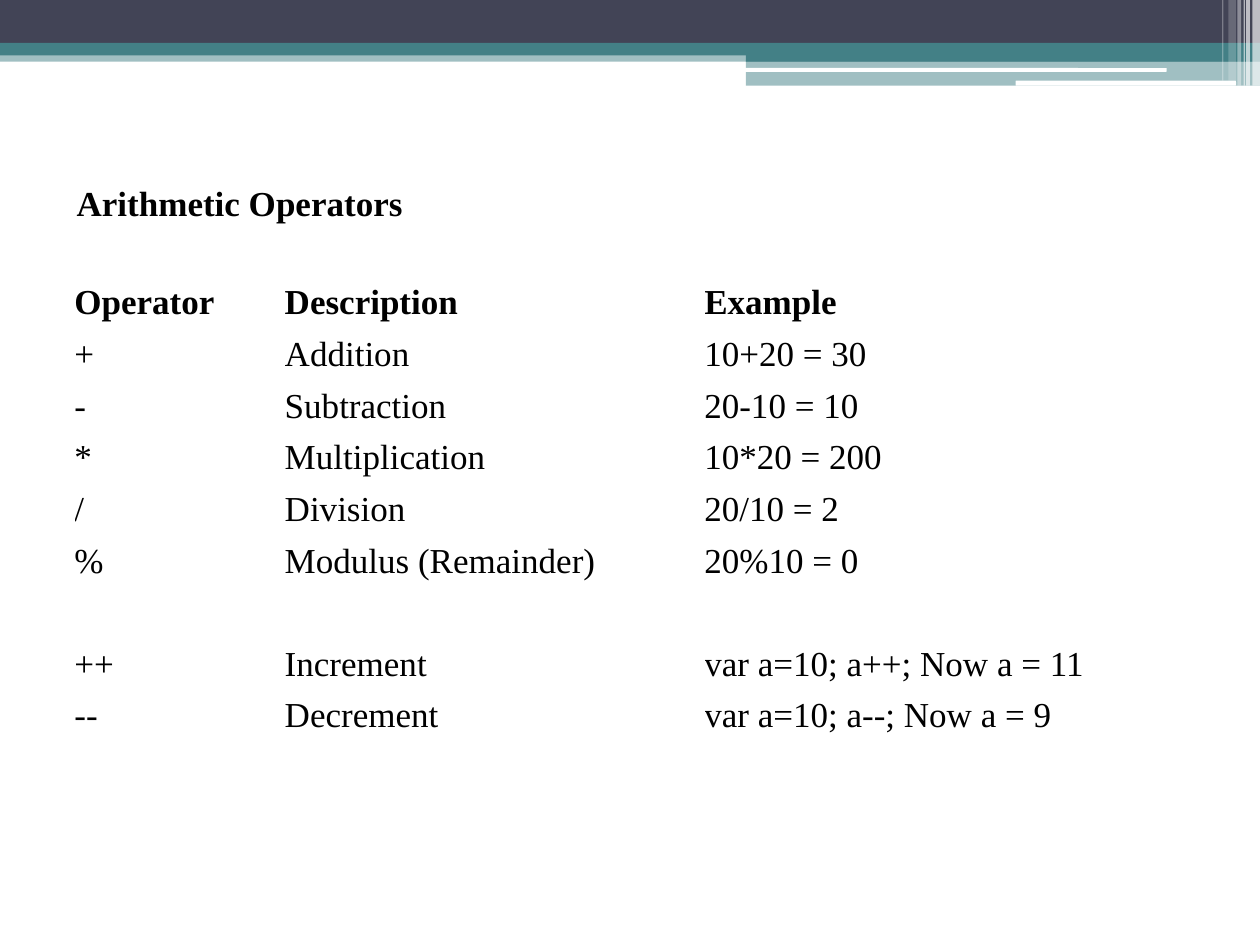
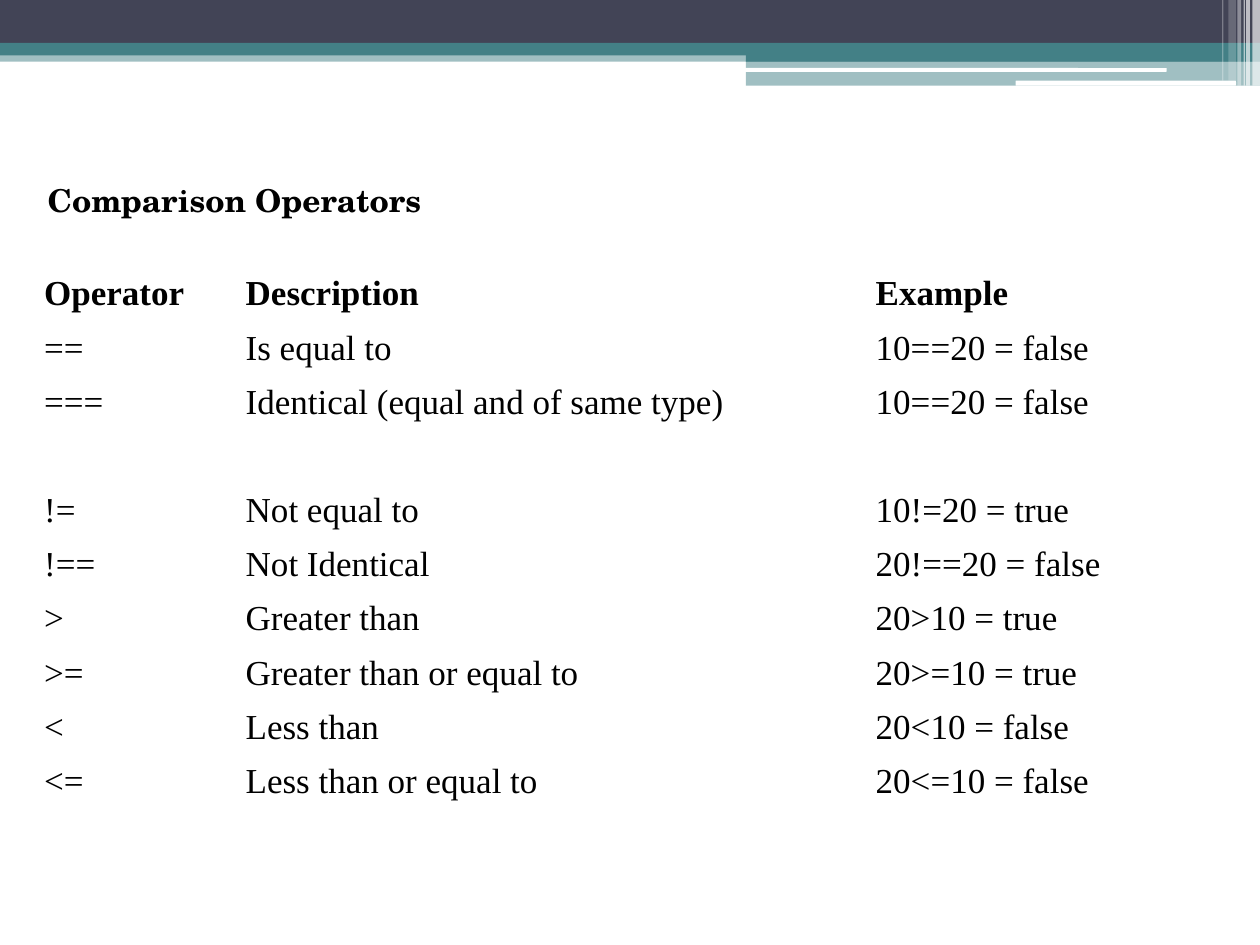
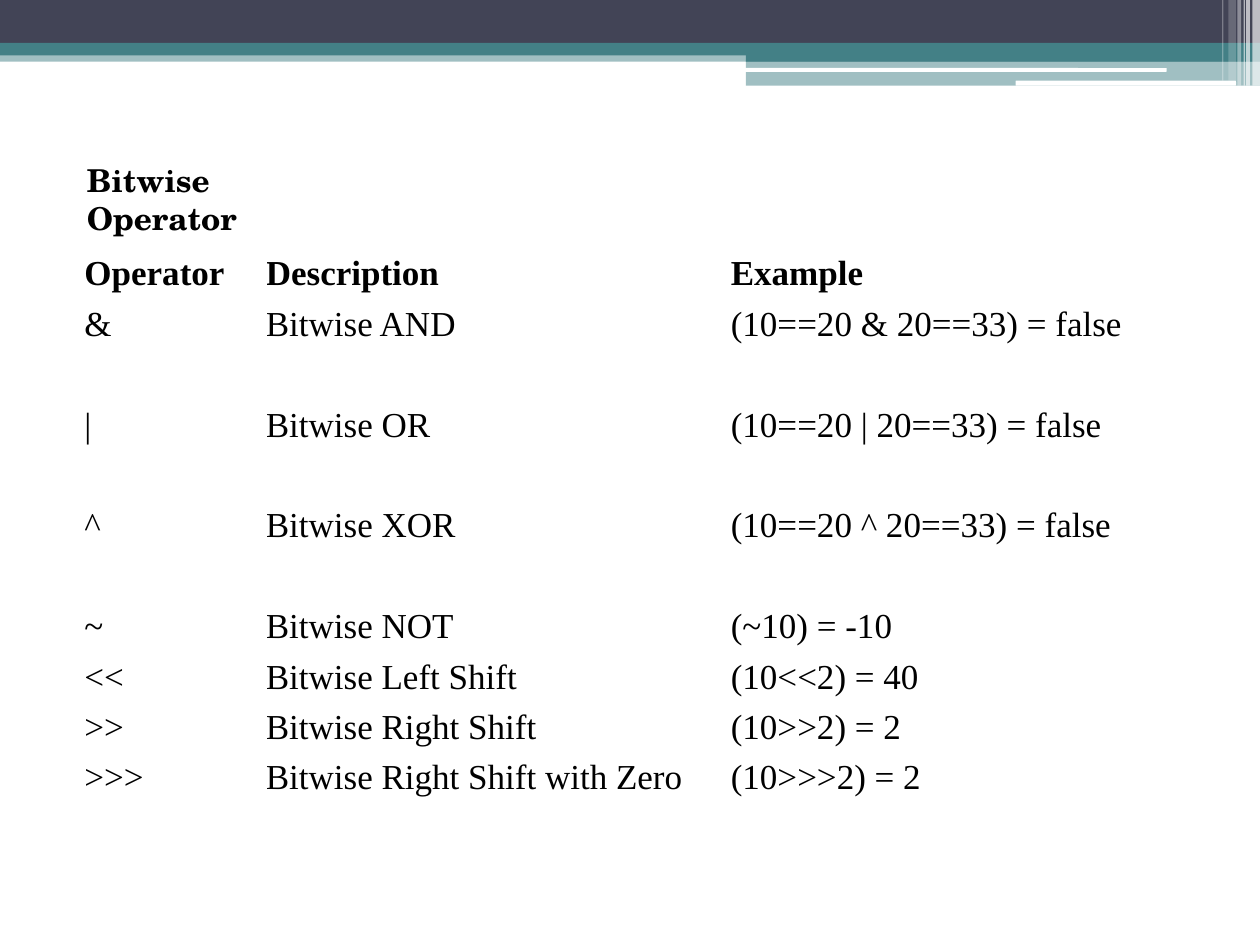
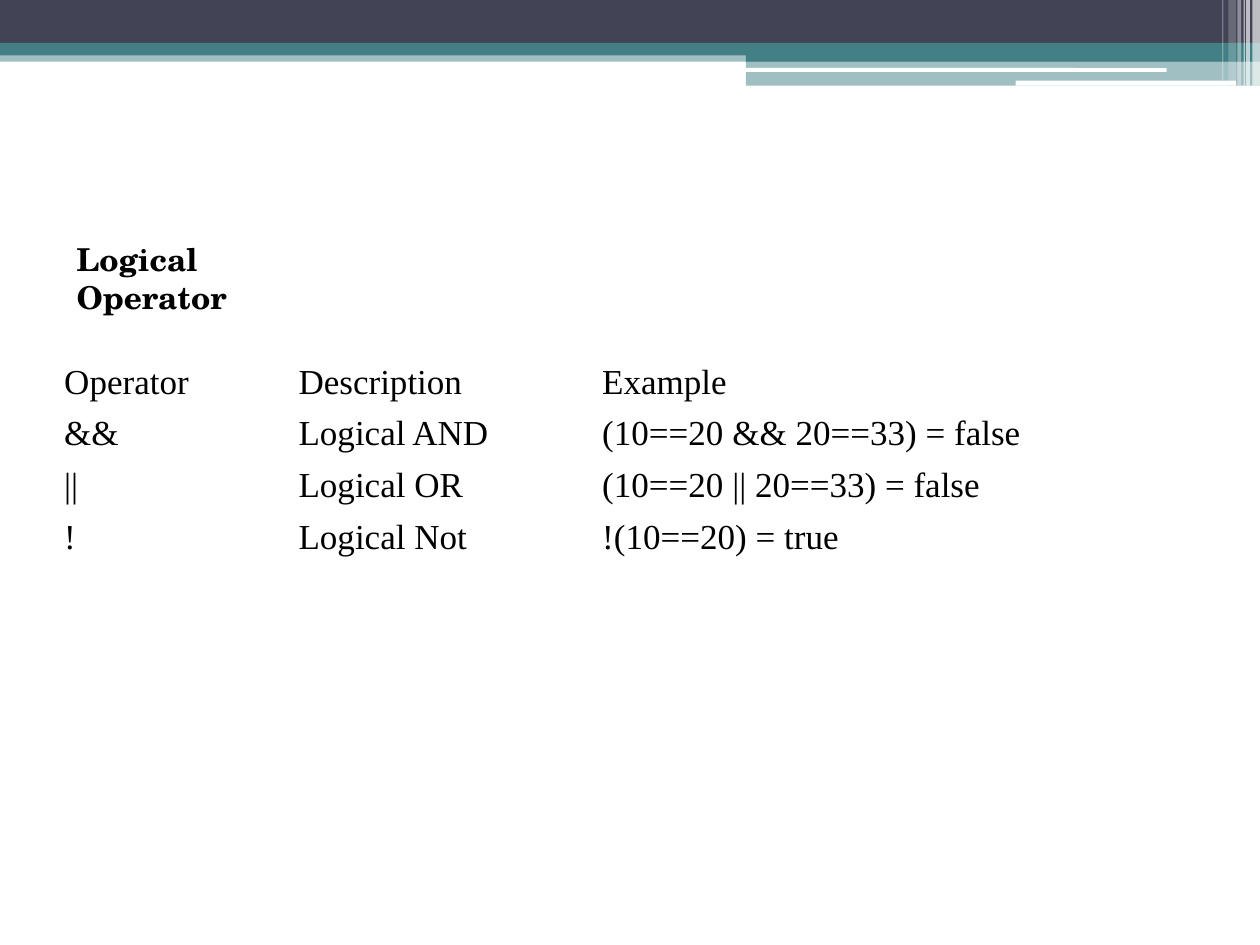
import lxml.etree
import pptx
import pptx.util
import pptx.dml.color
import pptx.enum.shapes
import pptx.enum.text
import pptx.oxml.ns

Inches = pptx.util.Inches
RGBColor = pptx.dml.color.RGBColor

NAVY = RGBColor(0x42, 0x44, 0x56)
TEAL = RGBColor(0x43, 0x80, 0x86)
WHITE = RGBColor(0xFF, 0xFF, 0xFF)
BLACK = RGBColor(0x00, 0x00, 0x00)

SERIF = "Times New Roman"
SCHOLA = "TeX Gyre Schola"
HEADINGS = ("Operator", "Description", "Example")

BANDS = [
    ((0, 0.4, 10, 0.09), TEAL, 50),
    ((0, 0, 10, 0.34), NAVY, 100),
    ((0, 0.34, 10, 0.1), TEAL, 100),
    ((5.92, 0.39, 4.08, 0.1), TEAL, 100),
    ((5.92, 0.48, 4.08, 0.2), TEAL, 50),
]
RULES = [(5.91, 0.54, 3.35, 0.03), (8.06, 0.64, 1.75, 0.04)]
STRIPES = [
    (9.94, 0.06, 0.68, 65),
    (9.89, 0.03, 0.68, 65),
    (9.87, 0.01, 0.68, 60),
    (9.82, 0.03, 0.68, 40),
    (9.75, 0.06, 0.64, 20),
    (9.7, 0.01, 0.64, 30),
]

TOPICS = [
    {
        "title": {"text": "Arithmetic Operators", "box": (0.51, 1.39, 2.81, 0.44),
                  "font": SERIF, "size": 20},
        "table": {
            "origin": (0.59, 2.25), "widths": (1.67, 3.33, 4.17),
            "row_height": 0.41, "tall_rows": {5},
            "rows": [
                ("+", "Addition", "10+20 = 30"),
                ("-", "Subtraction", "20-10 = 10"),
                ("*", "Multiplication", "10*20 = 200"),
                ("/", "Division", "20/10 = 2"),
                ("%", "Modulus (Remainder)", "20%10 = 0"),
                ("++", "Increment", "var a=10; a++; Now a = 11"),
                ("--", "Decrement", "var a=10; a--; Now a = 9"),
            ],
        },
    },
    {
        "title": {"text": "Comparison Operators", "box": (0.28, 1.39, 3.19, 0.4)},
        "table": {
            "origin": (0.35, 2.18), "widths": (1.6, 5, 2.74),
            "row_height": 0.43, "tall_rows": {2},
            "rows": [
                ("==", "Is equal to", "10==20 = false"),
                ("===", "Identical (equal and of same type)", "10==20 = false"),
                ("!=", "Not equal to", "10!=20 = true"),
                ("!==", "Not Identical", "20!==20 = false"),
                (">", "Greater than", "20>10 = true"),
                (">=", "Greater than or equal to", "20>=10 = true"),
                ("<", "Less than", "20<10 = false"),
                ("<=", "Less than or equal to", "20<=10 = false"),
            ],
        },
    },
    {
        "title": {"text": "Bitwise Operator", "box": (0.59, 1.23, 2.35, 0.4)},
        "table": {
            "origin": (0.67, 2.02), "widths": (1.44, 3.69, 3.78),
            "row_height": 0.4, "tall_rows": {1, 2, 3, 7},
            "rows": [
                ("&", "Bitwise AND", "(10==20 & 20==33) = false"),
                ("|", "Bitwise OR", "(10==20 | 20==33) = false"),
                ("^", "Bitwise XOR", "(10==20 ^ 20==33) = false"),
                ("~", "Bitwise NOT", "(~10) = -10"),
                ("<<", "Bitwise Left Shift", "(10<<2) = 40"),
                (">>", "Bitwise Right Shift", "(10>>2) = 2"),
                (">>>", "Bitwise Right Shift with Zero", "(10>>>2) = 2"),
            ],
        },
    },
    {
        "title": {"text": "Logical Operator", "box": (0.51, 1.86, 2.35, 0.4)},
        "table": {
            "origin": (0.51, 2.88), "widths": (1.86, 2.41, 4.92),
            "row_height": 0.41, "bold_header": False,
            "rows": [
                ("&&", "Logical AND", "(10==20 && 20==33) = false"),
                ("||", "Logical OR", "(10==20 || 20==33) = false"),
                ("!", "Logical Not", "!(10==20) = true"),
            ],
        },
    },
]


def write_text(frame, text, font=SERIF, size=20, bold=False):
    """Write one formatted line of text into a text frame."""
    span = frame.paragraphs[0].add_run()
    span.text = text
    span.font.name = font
    span.font.size = pptx.util.Pt(size)
    span.font.bold = bold
    span.font.color.rgb = BLACK


def add_block(page, box, colour, opacity=100, rounded=False):
    """Place a plain filled rectangle, optionally see-through or rounded."""
    kinds = pptx.enum.shapes.MSO_SHAPE
    kind = kinds.ROUNDED_RECTANGLE if rounded else kinds.RECTANGLE
    block = page.shapes.add_shape(kind, *map(Inches, box))
    block.shadow.inherit = False
    block.line.fill.background()
    block.fill.solid()
    block.fill.fore_color.rgb = colour
    if opacity < 100:
        qn = pptx.oxml.ns.qn
        tint = block.element.spPr.find(qn("a:solidFill")).find(qn("a:srgbClr"))
        lxml.etree.SubElement(tint, qn("a:alpha"), val=str(opacity * 1000))


def add_banner(page):
    """Place the bands, rules and edge stripes every slide shares."""
    for box, colour, opacity in BANDS:
        add_block(page, box, colour, opacity)
    for box in RULES:
        add_block(page, box, WHITE, rounded=True)
    for left, width, height, opacity in STRIPES:
        add_block(page, (left, 0, width, height), WHITE, opacity)


def add_title(page, text, box, font=SCHOLA, size=18):
    """Place the bold slide title."""
    frame = page.shapes.add_textbox(*map(Inches, box)).text_frame
    frame.word_wrap = True
    frame.auto_size = pptx.enum.text.MSO_AUTO_SIZE.SHAPE_TO_FIT_TEXT
    write_text(frame, text, font=font, size=size, bold=True)


def add_operator_table(page, origin, widths, row_height, rows,
                       tall_rows=(), bold_header=True):
    """Place an operator table whose tall rows are two rows high."""
    lines = [HEADINGS, *rows]
    heights = [row_height * (2 if index in tall_rows else 1)
               for index in range(len(lines))]
    box = (*origin, sum(widths), sum(heights))
    table = page.shapes.add_table(len(lines), len(widths), *map(Inches, box)).table
    table.first_row = False
    table.horz_banding = False
    for column, width in zip(table.columns, widths):
        column.width = Inches(width)
    for index, (row, height, line) in enumerate(zip(table.rows, heights, lines)):
        row.height = Inches(height)
        for cell, text in zip(row.cells, line):
            cell.margin_left = cell.margin_right = 0
            cell.margin_top = cell.margin_bottom = 0
            cell.fill.solid()
            cell.fill.fore_color.rgb = WHITE
            write_text(cell.text_frame, text, bold=bold_header and index == 0)


def build_deck():
    """Build one slide for each operator topic and save the deck."""
    deck = pptx.Presentation()
    deck.slide_width = Inches(10)
    deck.slide_height = Inches(7.5)
    for topic in TOPICS:
        page = deck.slides.add_slide(deck.slide_layouts[6])
        add_banner(page)
        add_operator_table(page, **topic["table"])
        add_title(page, **topic["title"])
    deck.save("out.pptx")


build_deck()
